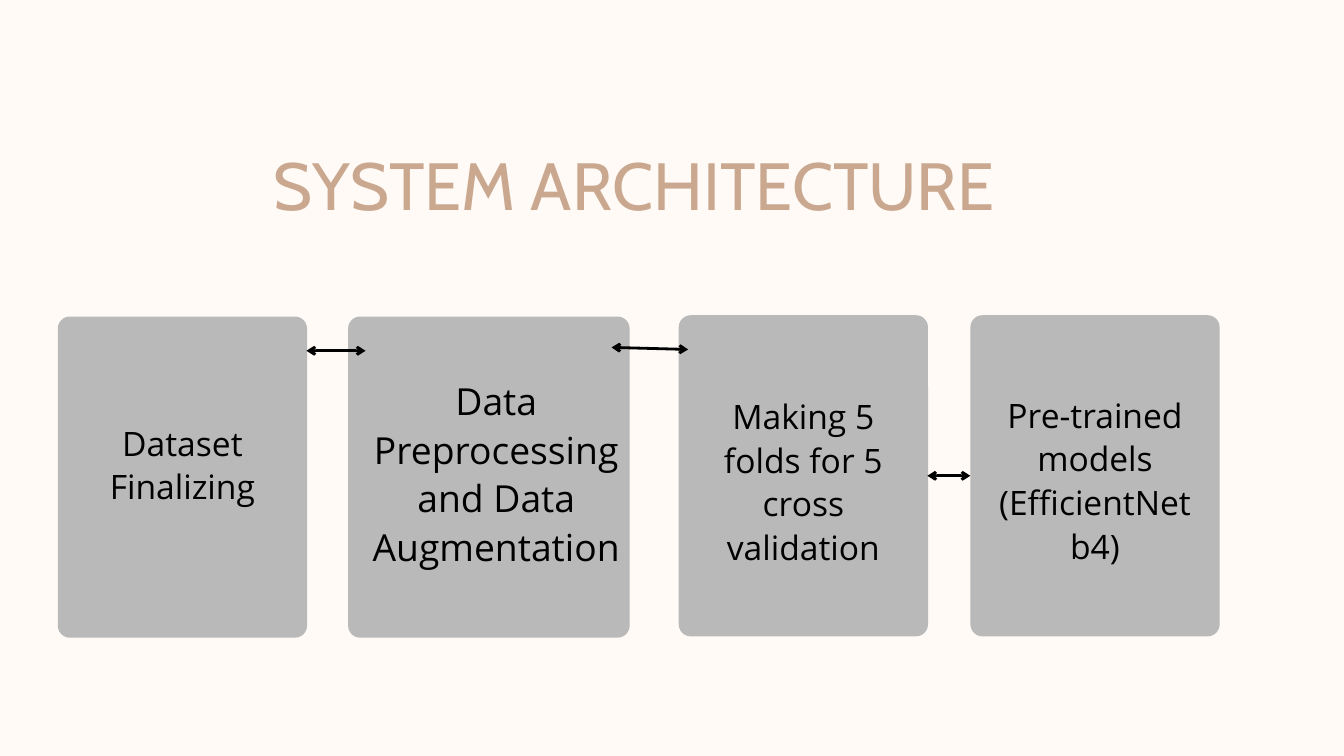
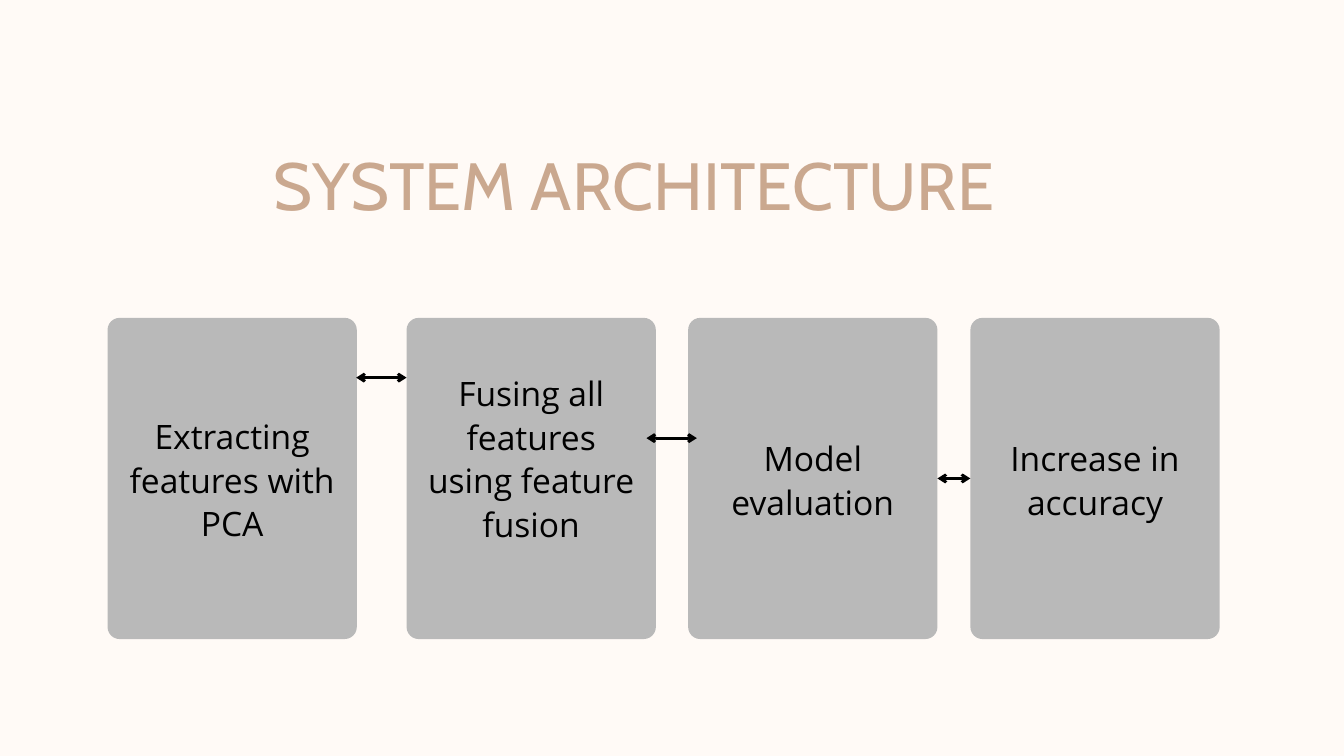
from lxml import etree
from pptx import Presentation
from pptx.dml.color import RGBColor
from pptx.enum.shapes import MSO_CONNECTOR, MSO_SHAPE
from pptx.enum.text import MSO_ANCHOR, MSO_AUTO_SIZE, PP_ALIGN
from pptx.oxml.ns import qn
from pptx.util import Inches, Pt

CREAM, TAN, GREY, BLACK = "FFFAF6", "CAA88F", "B9B9B9", "000000"
TITLE_FONT, BODY_FONT = "Cabin", "Open Sans"
TITLE = "SYSTEM ARCHITECTURE"
TITLE_AREA = (4.07, 1.94, 11.87, 1.34)
CARD_WIDTH, CARD_HEIGHT, CORNER, LABEL_INSET = 3.71, 4.78, 0.18, 0.26

PAGES = [
    {
        "cards": [
            {"left": 0.86, "top": 4.71, "text": "Dataset Finalizing", "label_top": 6.24},
            {"left": 5.18, "top": 4.71, "width": 4.19, "size": 39.9, "label_top": 5.58,
             "label_left": 5.29, "label_width": 4.19,
             "text": "Data Preprocessing and Data Augmentation"},
            {"left": 10.1, "top": 4.69, "text": "Making 5 folds for 5 cross validation",
             "label_top": 5.84},
            {"left": 14.44, "top": 4.69, "text": "Pre-trained models\n(EfficientNet b4)",
             "label_top": 5.82},
        ],
        "arrows": [(4.56, 5.22, 5.44, 5.22), (9.1, 5.17, 10.24, 5.2),
                   (13.8, 7.08, 14.44, 7.08)],
    },
    {
        "cards": [
            {"left": 1.6, "top": 4.73, "text": "Extracting features with PCA", "label_top": 6.14},
            {"left": 6.05, "top": 4.73, "text": "Fusing all features using feature fusion",
             "label_top": 5.5},
            {"left": 10.24, "top": 4.73, "text": "Model evaluation", "label_top": 6.47},
            {"left": 14.44, "top": 4.73, "text": "Increase in accuracy", "label_top": 6.47},
        ],
        "arrows": [(5.3, 5.62, 6.05, 5.62), (9.62, 6.52, 10.37, 6.52),
                   (13.95, 7.12, 14.44, 7.12)],
    },
]


def color(code):
    return RGBColor.from_string(code)


def write(frame, text, size, line_spacing, font=BODY_FONT, ink=BLACK, align=PP_ALIGN.CENTER):
    frame.word_wrap = True
    frame.auto_size = MSO_AUTO_SIZE.NONE
    frame.vertical_anchor = MSO_ANCHOR.TOP
    frame.margin_left = frame.margin_right = frame.margin_top = frame.margin_bottom = 0
    frame.text = text
    for para in frame.paragraphs:
        para.alignment = align
        para.line_spacing = Pt(line_spacing)
        para.space_before = Pt(0)
        for span in para.runs:
            span.font.name = font
            span.font.size = Pt(size)
            span.font.color.rgb = color(ink)


def add_title(page):
    title = page.shapes.title
    title.left, title.top, title.width, title.height = map(Inches, TITLE_AREA)
    write(title.text_frame, TITLE, 71.5, 100.1, font=TITLE_FONT, ink=TAN, align=PP_ALIGN.LEFT)


def add_card(page, card):
    width = card.get("width", CARD_WIDTH)
    area = map(Inches, (card["left"], card["top"], width, CARD_HEIGHT))
    panel = page.shapes.add_shape(MSO_SHAPE.ROUNDED_RECTANGLE, *area)
    panel.adjustments[0] = CORNER / width
    panel.shadow.inherit = False
    panel.fill.solid()
    panel.fill.fore_color.rgb = color(GREY)
    panel.line.fill.background()


def add_label(page, card):
    left = card.get("label_left", card["left"] + LABEL_INSET)
    width = card.get("label_width", CARD_WIDTH - 2 * LABEL_INSET)
    height = card["top"] + CARD_HEIGHT - card["label_top"]
    area = map(Inches, (left, card["label_top"], width, height))
    box = page.shapes.add_textbox(*area)
    size = card.get("size", 36)
    write(box.text_frame, card["text"], size, round(size * 1.3, 1))


def add_arrow(page, ends):
    arrow = page.shapes.add_connector(MSO_CONNECTOR.STRAIGHT, *map(Inches, ends))
    arrow.line.color.rgb = color(BLACK)
    arrow.line.width = Pt(3)
    line = arrow.line._get_or_add_ln()
    for end in ("a:headEnd", "a:tailEnd"):
        etree.SubElement(line, qn(end), type="arrow")
    etree.SubElement(arrow._element.spPr, qn("a:effectLst"))


def main():
    deck = Presentation()
    deck.slide_width, deck.slide_height = Inches(20), Inches(11.25)
    background = deck.slide_master.background.fill
    background.solid()
    background.fore_color.rgb = color(CREAM)
    for content in PAGES:
        page = deck.slides.add_slide(deck.slide_layouts.get_by_name("Title Only"))
        add_title(page)
        for card in content["cards"]:
            add_card(page, card)
        for card in content["cards"]:
            add_label(page, card)
        for ends in content["arrows"]:
            add_arrow(page, ends)
    deck.save("out.pptx")


if __name__ == "__main__":
    main()
